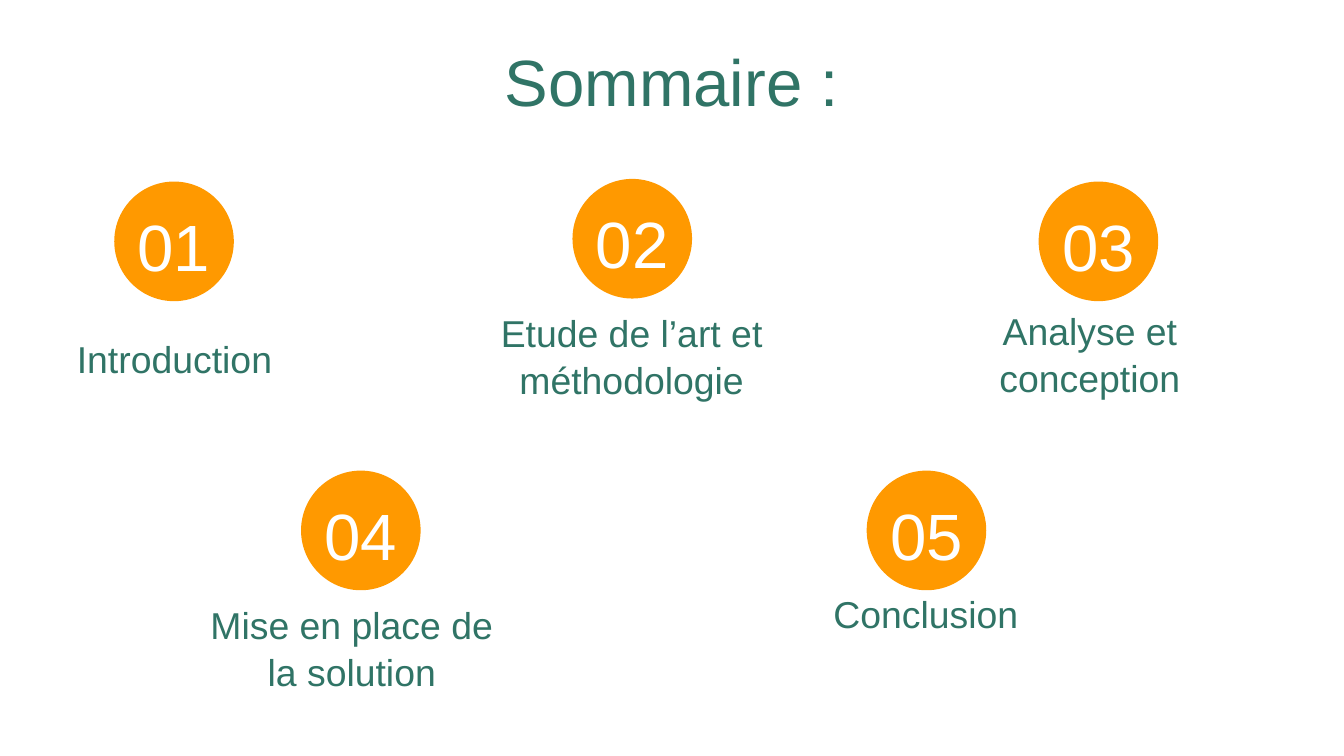
from pptx import Presentation
from pptx.dml.color import RGBColor
from pptx.enum.shapes import MSO_SHAPE as Shape
from pptx.enum.text import MSO_ANCHOR as Anchor, PP_ALIGN as Align
from pptx.util import Cm, Pt

GREEN = RGBColor(0x30, 0x74, 0x66)
ORANGE = RGBColor(0xFF, 0x99, 0x00)
WHITE = RGBColor(0xFF, 0xFF, 0xFF)

DIAMETER = 2.26
LABEL_WIDTH, LABEL_HEIGHT = 6.4, 1.09
SECTIONS = [
    ("Introduction", 2.16, 3.43, 0.1, 6.35),
    ("Etude de l’art et méthodologie", 10.82, 3.38, 8.74, 6.76),
    ("Analyse et conception", 19.63, 3.43, 17.4, 6.71),
    ("Mise en place de la solution", 5.69, 8.89, 3.45, 12.27),
    ("Conclusion", 16.38, 8.89, 14.3, 11.18),
]


def write(frame, text, size, color, anchor, inset, spacing):
    frame.word_wrap = True
    frame.vertical_anchor = anchor
    frame.margin_left = frame.margin_right = Cm(inset)
    frame.margin_top = frame.margin_bottom = Cm(inset)
    paragraph = frame.paragraphs[0]
    paragraph.alignment = Align.CENTER
    paragraph.line_spacing = spacing
    run = paragraph.add_run()
    run.text = text
    run.font.name = "Arial"
    run.font.size = Pt(size)
    run.font.color.rgb = color


def add_title(slide, text):
    title = slide.shapes.title
    title.left, title.top = Cm(2), Cm(0.38)
    title.width, title.height = Cm(21.4), Cm(1.6)
    write(title.text_frame, text, 35, GREEN, Anchor.TOP, 0.25, 1.1)


def add_number(slide, number, left, top):
    circle = slide.shapes.add_shape(
        Shape.OVAL, Cm(left), Cm(top), Cm(DIAMETER), Cm(DIAMETER))
    circle.shadow.inherit = False
    circle.fill.solid()
    circle.fill.fore_color.rgb = ORANGE
    circle.line.fill.background()
    write(circle.text_frame, f"{number:02}", 35, WHITE, Anchor.MIDDLE, 0, 1.1)


def add_label(slide, text, left, top):
    label = slide.shapes.add_textbox(
        Cm(left), Cm(top), Cm(LABEL_WIDTH), Cm(LABEL_HEIGHT))
    write(label.text_frame, text, 20, GREEN, Anchor.BOTTOM, 0.25, 1.05)


def main():
    deck = Presentation()
    deck.slide_width, deck.slide_height = Cm(25.4), Cm(14.28)
    slide = deck.slides.add_slide(deck.slide_layouts[5])
    slide.background.fill.solid()
    slide.background.fill.fore_color.rgb = WHITE
    add_title(slide, "Sommaire :")
    for number, section in enumerate(SECTIONS, 1):
        name, circle_left, circle_top, label_left, label_top = section
        add_number(slide, number, circle_left, circle_top)
        add_label(slide, name, label_left, label_top)
    deck.save("out.pptx")


if __name__ == "__main__":
    main()
